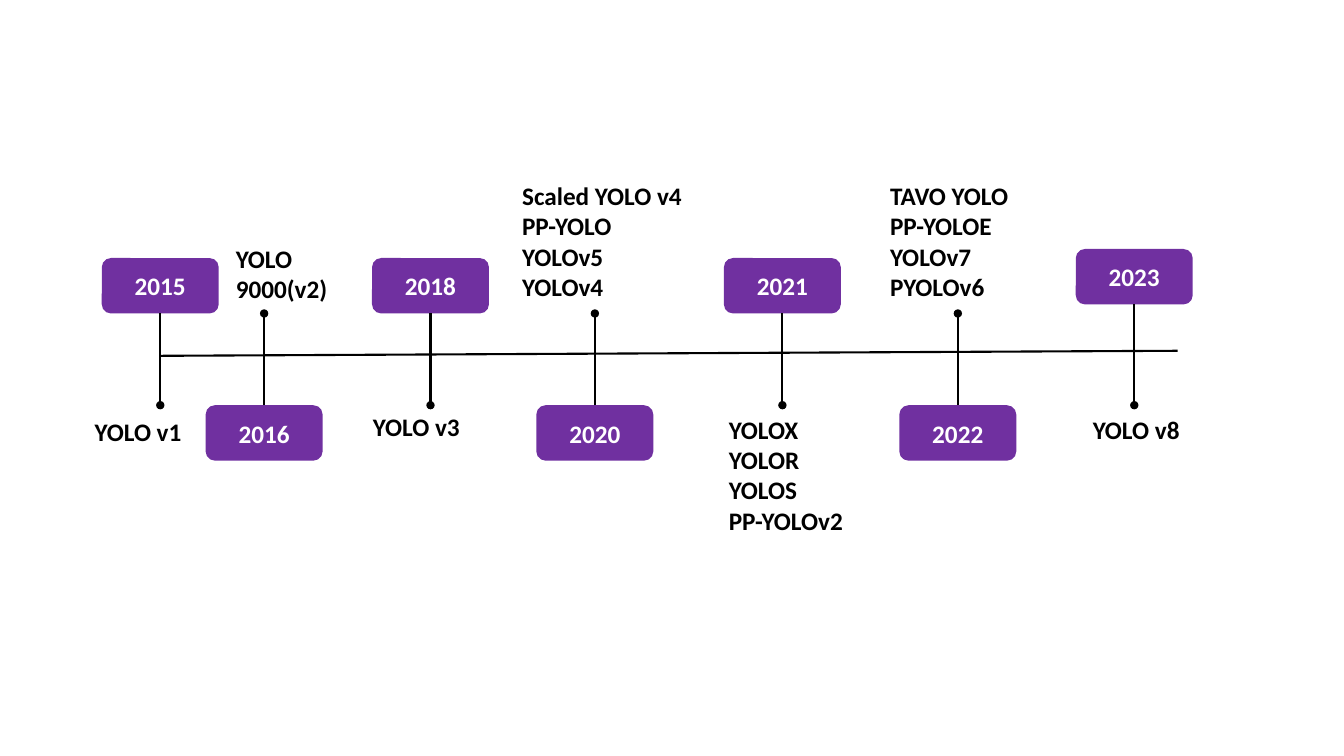
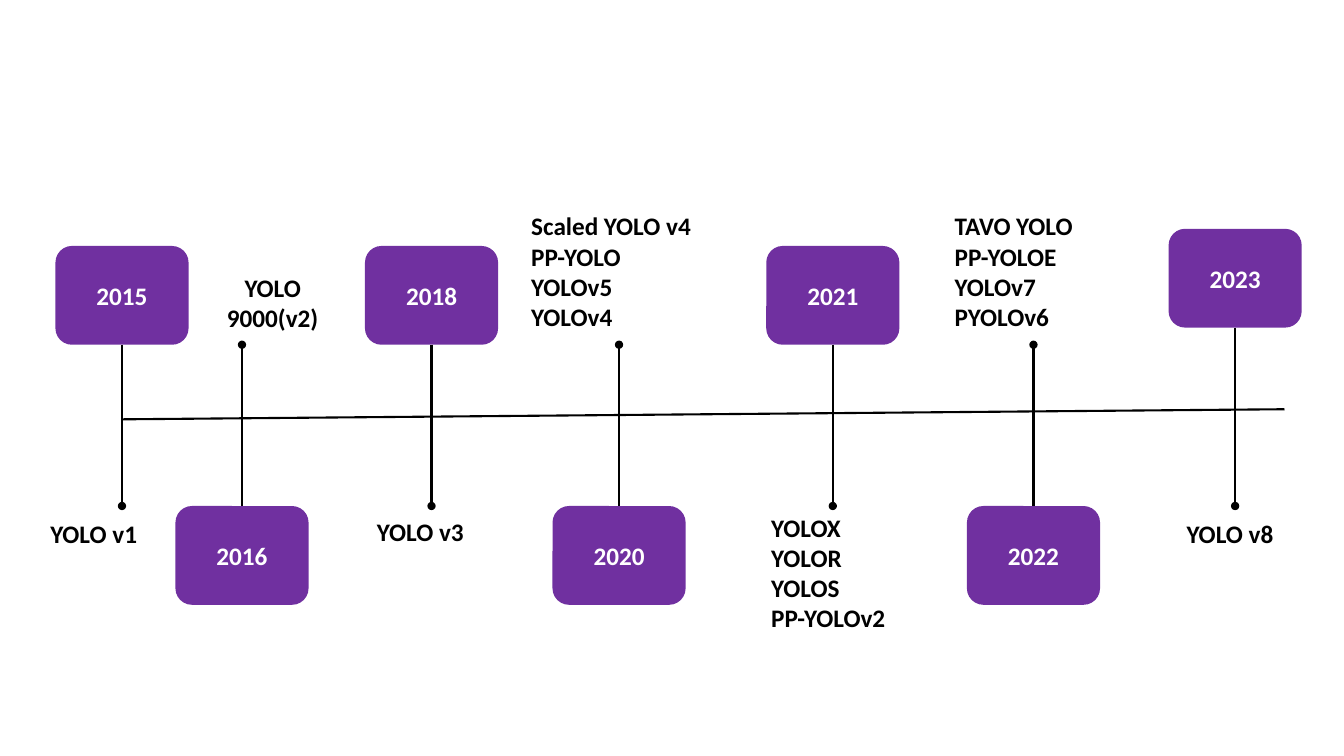
from dataclasses import dataclass

from lxml import etree
from pptx import Presentation
from pptx import util as u
from pptx.dml.color import RGBColor
from pptx.enum import shapes, text
from pptx.oxml.ns import qn

SCALE = u.Inches(1) // 100
TOP, BOTTOM = 0, 2


@dataclass(frozen=True)
class Theme:
    card: RGBColor = RGBColor(0x70, 0x30, 0xA0)
    card_text: RGBColor = RGBColor(0xFF, 0xFF, 0xFF)
    ink: RGBColor = RGBColor(0, 0, 0)
    font: str = "Calibri"
    size: u.Pt = u.Pt(18)
    rule: u.Pt = u.Pt(1.5)


@dataclass(frozen=True)
class Milestone:
    year: str
    models: tuple
    card_above: bool = True
    raised: bool = False


@dataclass(frozen=True)
class Layout:
    frame: tuple
    card_size: tuple
    card_lefts: tuple
    upper_top: int
    lower_top: int
    lift: int
    axis: tuple
    labels: tuple
    centred_years: tuple = ()
    grouped: bool = False


THEME = Theme()

MILESTONES = (
    Milestone("2015", ("YOLO v1",)),
    Milestone("2016", ("YOLO 9000(v2)",), card_above=False),
    Milestone("2018", ("YOLO v3",)),
    Milestone("2020", ("Scaled YOLO v4", "PP-YOLO", "YOLOv5", "YOLOv4"), card_above=False),
    Milestone("2021", ("YOLOX", "YOLOR", "YOLOS", "PP-YOLOv2")),
    Milestone("2022", ("TAVO YOLO", "PP-YOLOE", "YOLOv7", "PYOLOv6"), card_above=False),
    Milestone("2023", ("YOLO v8",), raised=True),
)

COMPACT = Layout(
    frame=(101, 174),
    card_size=(116, 55),
    card_lefts=(0, 103, 268, 431, 617, 791, 966),
    upper_top=82,
    lower_top=228,
    lift=9,
    axis=(58, 179, 1067, 174),
    labels=(
        (-17, 234, 109, 40),
        (123, 62, 131, 71),
        (259, 229, 109, 40),
        (407, 0, 185, 131),
        (612, 232, 139, 131),
        (772, 0, 156, 131),
        (973, 232, 109, 40),
    ),
)

LARGE = Layout(
    frame=(55, 204),
    card_size=(132, 98),
    card_lefts=(0, 119, 307, 493, 705, 904, 1104),
    upper_top=40,
    lower_top=298,
    lift=17,
    axis=(67, 212, 1219, 202),
    labels=(
        (-15, 305, 125, 71),
        (141, 61, 149, 71),
        (309, 303, 125, 71),
        (462, 0, 221, 131),
        (700, 299, 159, 232),
        (882, 0, 189, 131),
        (1112, 305, 125, 71),
    ),
    centred_years=("2016",),
    grouped=True,
)


def px(*lengths):
    return [u.Emu(length * SCALE) for length in lengths]


def apply_format(target, values):
    for name, value in values.items():
        setattr(target, name, value)


def write_lines(text_frame, lines, color, alignment):
    for index, line in enumerate(lines):
        paragraph = text_frame.add_paragraph() if index else text_frame.paragraphs[0]
        paragraph.alignment = alignment
        run = paragraph.add_run()
        run.text = line
        apply_format(run.font, {"name": THEME.font, "size": THEME.size, "bold": True})
        run.font.color.rgb = color


def add_rule(container, x1, y1, x2, y2, dotted=False):
    connector = container.add_connector(shapes.MSO_CONNECTOR.STRAIGHT, *px(x1, y1, x2, y2))
    connector.line.width = THEME.rule
    connector.line.color.rgb = THEME.ink
    if dotted:
        etree.SubElement(connector.line._get_or_add_ln(), qn("a:tailEnd"), type="oval")
    etree.SubElement(connector._element.spPr, qn("a:effectLst"))
    return connector


def add_card(container, left, top, width, height, year):
    card = container.add_shape(
        shapes.MSO_SHAPE.FLOWCHART_ALTERNATE_PROCESS, *px(left, top, width, height)
    )
    card.shadow.inherit = False
    card.fill.solid()
    card.fill.fore_color.rgb = THEME.card
    card.line.fill.background()
    card.text_frame.vertical_anchor = text.MSO_ANCHOR.MIDDLE
    write_lines(card.text_frame, (year,), THEME.card_text, text.PP_ALIGN.CENTER)
    return card


def add_label(container, left, top, width, height, lines, alignment):
    label = container.add_textbox(*px(left, top, width, height))
    frame_format = {"word_wrap": True, "auto_size": text.MSO_AUTO_SIZE.SHAPE_TO_FIT_TEXT}
    apply_format(label.text_frame, frame_format)
    write_lines(label.text_frame, lines, THEME.ink, alignment)


def add_timeline(container, layout):
    left, top = layout.frame
    width, height = layout.card_size
    upper_end, lower_start = top + layout.upper_top + height, top + layout.lower_top
    x1, y1, x2, y2 = layout.axis
    add_rule(container, left + x1, top + y1, left + x2, top + y2)

    cards = []
    for milestone, offset in zip(MILESTONES, layout.card_lefts):
        card_top = layout.upper_top if milestone.card_above else layout.lower_top
        card_top += top - layout.lift * milestone.raised
        cards.append(add_card(container, left + offset, card_top, width, height, milestone.year))

    for milestone, offset, card in zip(MILESTONES, layout.card_lefts, cards):
        center = left + offset + width // 2
        start, end = upper_end, lower_start
        if not milestone.card_above:
            start, end = end, start
        stem = add_rule(container, center, start, center, end, dotted=True)
        stem.begin_connect(card, BOTTOM if milestone.card_above else TOP)

    for milestone, (x, y, label_width, label_height) in zip(MILESTONES, layout.labels):
        centred = milestone.year in layout.centred_years
        alignment = text.PP_ALIGN.CENTER if centred else text.PP_ALIGN.LEFT
        add_label(
            container, left + x, top + y, label_width, label_height, milestone.models, alignment
        )


def add_timeline_slide(presentation, layout):
    slide = presentation.slides.add_slide(presentation.slide_layouts[6])
    container = slide.shapes.add_group_shape().shapes if layout.grouped else slide.shapes
    add_timeline(container, layout)


def main():
    presentation = Presentation()
    slide_width, slide_height = px(1333, 750)
    apply_format(presentation, {"slide_width": slide_width, "slide_height": slide_height})
    for layout in (COMPACT, LARGE):
        add_timeline_slide(presentation, layout)
    presentation.save("out.pptx")


if __name__ == "__main__":
    main()
